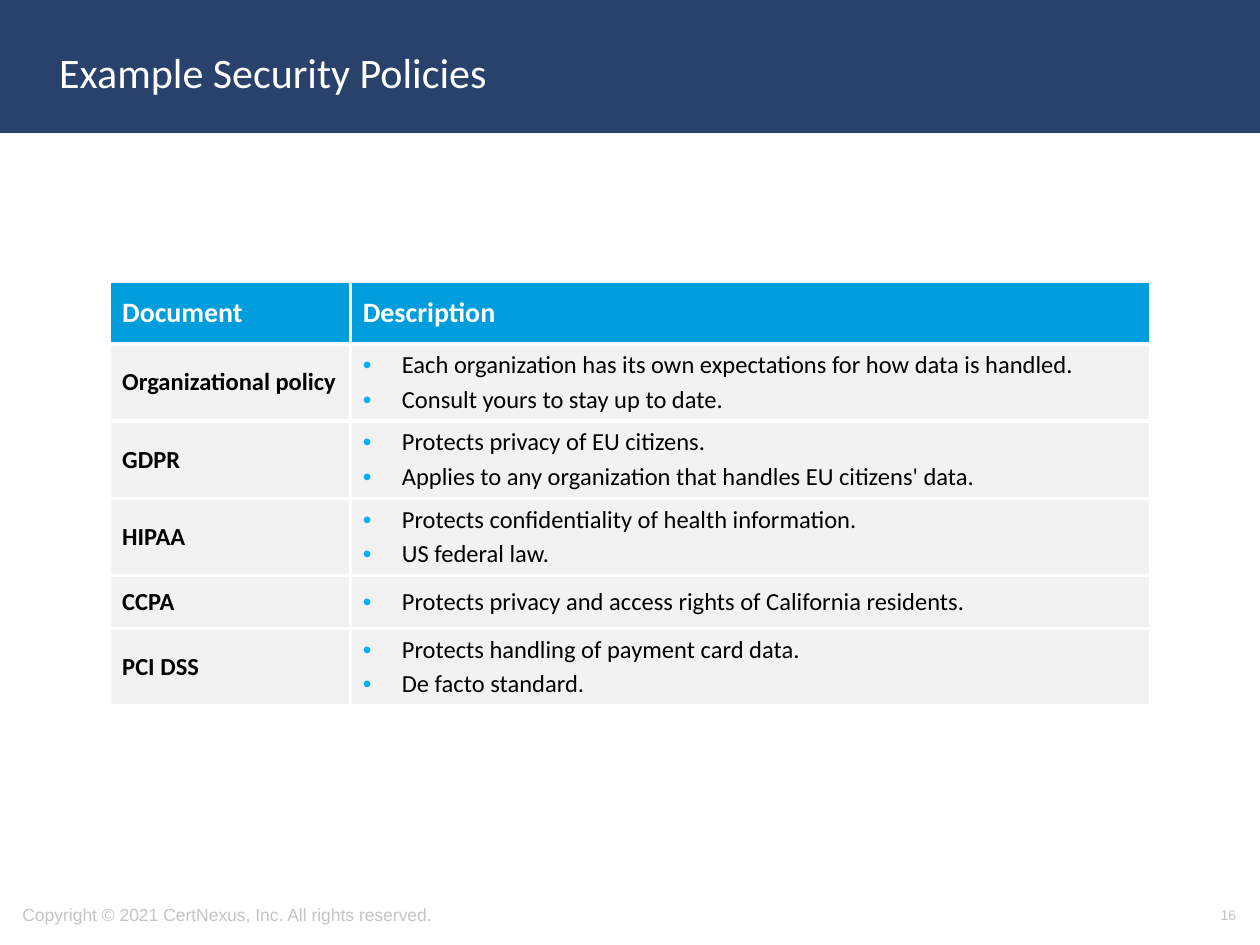
from lxml.etree import SubElement
from pptx import Presentation
from pptx.dml.color import RGBColor
from pptx.enum.shapes import MSO_SHAPE
from pptx.enum.text import MSO_ANCHOR, PP_ALIGN
from pptx.oxml.ns import qn
from pptx.util import Inches, Pt

NAVY = RGBColor(0x28, 0x42, 0x6C)
BLUE = RGBColor(0x00, 0x9D, 0xDC)
SKY = RGBColor(0x00, 0xB0, 0xF0)
PALE = RGBColor(0xF2, 0xF2, 0xF2)
GRAY = RGBColor(0xC4, 0xC4, 0xC4)
WHITE = RGBColor(0xFF, 0xFF, 0xFF)
BLACK = RGBColor(0x00, 0x00, 0x00)

POLICIES = [
    ("Organizational policy", [
        "Each organization has its own expectations for how data is handled.",
        "Consult yours to stay up to date."]),
    ("GDPR", [
        "Protects privacy of EU citizens.",
        "Applies to any organization that handles EU citizens' data."]),
    ("HIPAA", [
        "Protects confidentiality of health information.",
        "US federal law."]),
    ("CCPA", ["Protects privacy and access rights of California residents."]),
    ("PCI DSS", [
        "Protects handling of payment card data.",
        "De facto standard."]),
]


class Deck:
    body = "Calibri"
    small = "Arial"

    def __init__(self):
        self.prs = Presentation()
        self.prs.slide_width, self.prs.slide_height = Inches(10), Inches(7.5)
        self.slide = self.prs.slides.add_slide(self.prs.slide_layouts[5])

    def style(self, para, size, color, bold=False, face=None):
        for run in para.runs:
            font = run.font
            font.name, font.size, font.bold = face or self.body, Pt(size), bold
            font.color.rgb = color

    def banner(self, height):
        bar = self.slide.shapes.add_shape(
            MSO_SHAPE.RECTANGLE, 0, 0, self.prs.slide_width, Inches(height))
        bar.shadow.inherit = False
        bar.fill.solid()
        bar.fill.fore_color.rgb = bar.line.color.rgb = NAVY
        bar.line.width = Pt(2)
        # Keep the bar behind the title
        self.slide.shapes.title.element.addprevious(bar.element)

    def title(self, text, left, top, width, height):
        box = self.slide.shapes.title
        box.left, box.top = Inches(left), Inches(top)
        box.width, box.height = Inches(width), Inches(height)
        frame = box.text_frame
        frame.text = text
        frame.vertical_anchor = MSO_ANCHOR.MIDDLE
        frame.paragraphs[0].alignment = PP_ALIGN.LEFT
        self.style(frame.paragraphs[0], 24, WHITE)

    def note(self, text, left, width, size, align):
        box = self.slide.shapes.add_textbox(
            Inches(left), Inches(7.06), Inches(width), Inches(0.4))
        frame = box.text_frame
        frame.text = text
        frame.word_wrap = True
        frame.vertical_anchor = MSO_ANCHOR.MIDDLE
        frame.paragraphs[0].alignment = align
        self.style(frame.paragraphs[0], size, GRAY, face=self.small)

    def bullet(self, para):
        props = para._p.get_or_add_pPr()
        props.set("marL", str(Inches(0.31)))
        props.set("indent", str(-Inches(0.31)))
        tint = SubElement(props, qn("a:buClr"))
        SubElement(tint, qn("a:srgbClr"), val=str(SKY))
        SubElement(props, qn("a:buFont"), typeface=self.small)
        SubElement(props, qn("a:buChar"), char="•")

    def border(self, cell):
        props = cell._tc.get_or_add_tcPr()
        for place, side in enumerate(("lnL", "lnR", "lnT", "lnB")):
            line = props.makeelement(qn("a:" + side), {"w": str(Pt(2.25))})
            fill = SubElement(line, qn("a:solidFill"))
            SubElement(fill, qn("a:srgbClr"), val=str(WHITE))
            props.insert(place, line)

    def cell(self, cell, lines, fill, size, color, bold=True, dots=False):
        cell.fill.solid()
        cell.fill.fore_color.rgb = fill
        cell.vertical_anchor = MSO_ANCHOR.MIDDLE
        self.border(cell)
        cell.text_frame.text = "\n".join(lines)
        for index, para in enumerate(cell.text_frame.paragraphs):
            if dots:
                self.bullet(para)
            if index:
                para.space_before = Pt(0.2 * size)
            self.style(para, size, color, bold)

    def table(self, head, rows, left, top, widths):
        # Row height follows the number of lines
        tall = [0.5] + [0.61 if len(lines) > 1 else 0.42 for _, lines in rows]
        grid = self.slide.shapes.add_table(
            len(tall), len(widths), Inches(left), Inches(top),
            Inches(sum(widths)), Inches(sum(tall))).table
        for col, width in zip(grid.columns, widths):
            col.width = Inches(width)
        for row, height in zip(grid.rows, tall):
            row.height = Inches(height)
        for col, text in enumerate(head):
            self.cell(grid.cell(0, col), [text], BLUE, 16, WHITE)
        for row, (name, lines) in enumerate(rows, 1):
            self.cell(grid.cell(row, 0), [name], PALE, 14, BLACK)
            self.cell(grid.cell(row, 1), lines, PALE, 14, BLACK,
                      bold=False, dots=True)

    def save(self):
        self.prs.save("out.pptx")


def main():
    deck = Deck()
    # Heading
    deck.banner(1.04)
    deck.title("Example Security Policies", 0.37, 0.11, 8.62, 0.92)
    # Policy table
    deck.table(("Document", "Description"), POLICIES, 0.87, 2.23, (1.91, 6.35))
    # Footer
    deck.note("Copyright © 2021 CertNexus, Inc. All rights reserved.",
              0.08, 5.27, 10, PP_ALIGN.LEFT)
    deck.note("16", 7.58, 2.33, 8, PP_ALIGN.RIGHT)
    deck.save()


if __name__ == "__main__":
    main()
